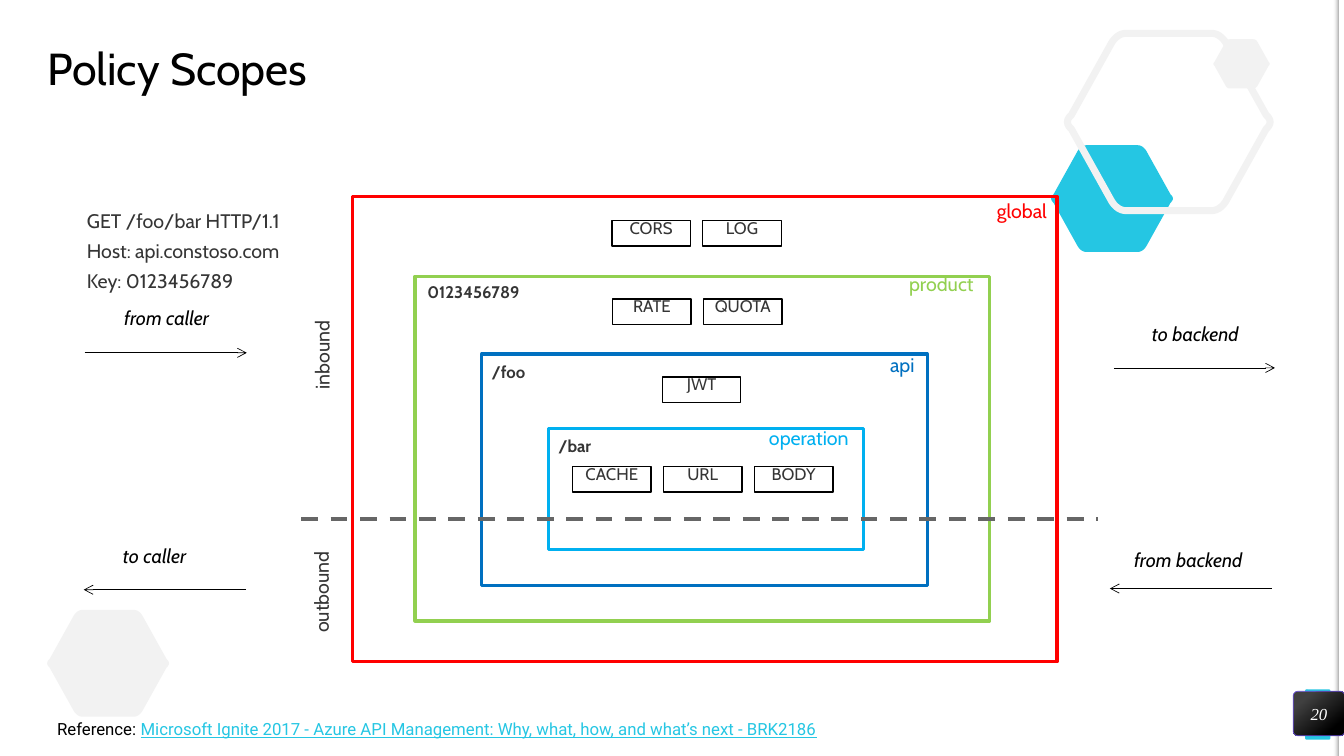
import pptx
import pptx.util
import pptx.dml.color
import pptx.enum.dml
import pptx.enum.shapes
import pptx.enum.text
import pptx.oxml.ns
import lxml.etree

Cm = pptx.util.Cm
Pt = pptx.util.Pt
qn = pptx.oxml.ns.qn
SHAPES = pptx.enum.shapes.MSO_SHAPE
ALIGN = pptx.enum.text.PP_ALIGN
ANCHOR = pptx.enum.text.MSO_ANCHOR

COLORS = {
    "white": "FFFFFF", "black": "000000", "text": "353535", "cyan": "25C6E3",
    "pale": "F2F2F2", "silver": "A6A6A6", "charcoal": "404040", "dash": "666666",
    "violet": "6A50DB", "global": "FF0000", "product": "92D050",
    "api": "0070C0", "operation": "00B0F0",
}
BODY_FONT = "Cabin"
WIDE_INSETS = (0.51, 0.41)
PLAIN_INSETS = (0.25, 0.13)
LABEL_HEIGHT = 1.37
CHIP_WIDTH, CHIP_HEIGHT, CHIP_PITCH = 1.98, 0.64, 2.29
CHIP_TEXT_WIDTH, CHIP_TEXT_HEIGHT = 2.95, 1.27

HEXAGON_LEFT_CORNERS = [
    ((0.29, 0), (0.25, 0), (0.22, 0.05)),
    ((0.02, 0.46), (-0.02, 0.5), (0.02, 0.54)),
    ((0.22, 0.95), (0.25, 1), (0.29, 1)),
]

SCOPES = [
    ("operation", (13.82, 10.8, 7.95, 3.05), (18.87, 10.54, 3.15)),
    ("api", (12.14, 8.92, 11.23, 5.84), (21.92, 8.69, 1.7)),
    ("product", (10.46, 6.96, 14.48, 8.69), (22.4, 6.65, 2.74)),
    ("global", (8.89, 4.95, 17.75, 11.73), (24.61, 4.8, 2.39)),
]
SCOPE_KEYS = [("0123456789", 10.52, 6.96), ("/foo", 12.14, 8.99), ("/bar", 13.82, 10.85)]
CHIP_ROWS = [
    (15.42, 5.56, ["CORS", "LOG"]),
    (15.44, 7.54, ["RATE", "QUOTA"]),
    (16.69, 9.5, ["JWT"]),
    (14.43, 11.76, ["CACHE", "URL", "BODY"]),
]
FLOWS = [
    ("to backend", (28.52, 7.92, 3.4), (28.07, 32.13, 9.27)),
    ("from backend", (28.07, 13.61, 3.96), (32.05, 27.97, 14.83)),
    ("from caller", (2.62, 7.52, 3.28), (2.13, 6.22, 8.89)),
    ("to caller", (2.59, 13.51, 2.74), (6.2, 2.11, 14.86)),
]
DIRECTIONS = [("inbound", 6.86, 8.2, 2.87), ("outbound", 6.68, 14.17, 3.2)]


def rgb(name):
    return pptx.dml.color.RGBColor.from_string(COLORS[name])


def style_shape(shape, fill=None, line=None, width=1):
    shape.shadow.inherit = False
    if fill:
        shape.fill.solid()
        shape.fill.fore_color.rgb = rgb(fill)
    else:
        shape.fill.background()
    if line:
        shape.line.color.rgb = rgb(line)
        shape.line.width = Pt(width)
    else:
        shape.line.fill.background()


def set_gradient(shape, stops, angle):
    shape.fill.gradient()
    shape.fill.gradient_angle = angle
    for gradient_stop, (position, color) in zip(shape.fill.gradient_stops, stops):
        gradient_stop.position = position
        gradient_stop.color.rgb = rgb(color)


def add_box(slide, kind, box, fill=None, line=None, width=1):
    shape = slide.shapes.add_shape(kind, *map(Cm, box))
    style_shape(shape, fill, line, width)
    return shape


def add_run(paragraph, text, size, color="text", font=BODY_FONT, bold=False,
            italic=False, underline=False):
    run = paragraph.add_run()
    run.text = text
    run.font.name = font
    run.font.size = Pt(size)
    run.font.color.rgb = rgb(color)
    run.font.bold = bold
    run.font.italic = italic
    run.font.underline = underline


def set_insets(frame, horizontal, vertical):
    frame.margin_left = frame.margin_right = Cm(horizontal)
    frame.margin_top = frame.margin_bottom = Cm(vertical)


def add_text_box(slide, box, insets=PLAIN_INSETS, wrap=True):
    text_box = slide.shapes.add_textbox(*map(Cm, box))
    frame = text_box.text_frame
    frame.word_wrap = wrap
    frame.auto_size = pptx.enum.text.MSO_AUTO_SIZE.SHAPE_TO_FIT_TEXT
    set_insets(frame, *insets)
    return text_box


def add_label(slide, lines, box, size=14, color="text", italic=False, wrap=False,
              align=ALIGN.LEFT):
    text_box = add_text_box(slide, box, WIDE_INSETS, wrap)
    frame = text_box.text_frame
    for index, line in enumerate(lines):
        paragraph = frame.add_paragraph() if index else frame.paragraphs[0]
        paragraph.alignment = align
        paragraph.line_spacing = 0.9
        paragraph.space_after = Pt(6)
        add_run(paragraph, line, size, color, italic=italic)
    return text_box


def add_line(slide, start, end, y, color, width, arrow=False, dash=None):
    connector = slide.shapes.add_connector(
        pptx.enum.shapes.MSO_CONNECTOR.STRAIGHT, Cm(start), Cm(y), Cm(end), Cm(y))
    connector.line.color.rgb = rgb(color)
    connector.line.width = Pt(width)
    if dash:
        connector.line.dash_style = dash
    if arrow:
        outline = connector.line._get_or_add_ln()
        lxml.etree.SubElement(outline, qn("a:tailEnd"), type="arrow")
    lxml.etree.SubElement(connector._element.spPr, qn("a:effectLst"))


def add_hexagon(slide, box, fill=None, line=None, width=1):
    left, top, box_width, box_height = box
    right_corners = [[(1 - x, 1 - y) for x, y in corner] for corner in HEXAGON_LEFT_CORNERS]
    points = []
    for corner in HEXAGON_LEFT_CORNERS + right_corners:
        for step in range(7):
            t = step / 6
            weights = ((1 - t) ** 2, 2 * t * (1 - t), t ** 2)
            x, y = (sum(w * p[axis] for w, p in zip(weights, corner)) for axis in (0, 1))
            points.append((Cm(left + x * box_width), Cm(top + y * box_height)))
    builder = slide.shapes.build_freeform(*points[0])
    builder.add_line_segments(points[1:], close=True)
    style_shape(builder.convert_to_shape(), fill, line, width)


def add_chip(slide, text, left, top):
    add_box(slide, SHAPES.RECTANGLE, (left, top, CHIP_WIDTH, CHIP_HEIGHT), line="black")
    text_left = left - (CHIP_TEXT_WIDTH - CHIP_WIDTH) / 2
    add_label(slide, [text], (text_left, top - 0.25, CHIP_TEXT_WIDTH, CHIP_TEXT_HEIGHT),
              size=12, wrap=True, align=ALIGN.CENTER)


def add_decoration(slide):
    tab = add_box(slide, SHAPES.ROUNDED_RECTANGLE, (32.89, 17.37, 0.64, 1.27), "cyan")
    tab.adjustments[0] = 0.07
    add_box(slide, SHAPES.RECTANGLE, (33.74, 0, 0.13, 19.05), "white")
    edge = add_box(slide, SHAPES.RECTANGLE, (33.61, 0, 0.13, 19.05), "pale")
    set_gradient(edge, [(0, "pale"), (1, "silver")], 0)
    clear_stop = next(edge._element.spPr.iter(qn("a:srgbClr")))
    lxml.etree.SubElement(clear_stop, qn("a:alpha"), val="0")
    add_hexagon(slide, (1.19, 15.37, 3.07, 2.69), "pale")
    add_hexagon(slide, (26.49, 3.66, 3.07, 2.69), "cyan")
    add_hexagon(slide, (26.9, 0.84, 5.11, 4.47), line="pale", width=5)
    add_hexagon(slide, (30.58, 0.99, 1.42, 1.24), "pale")


def set_title(slide, text):
    title = slide.shapes.title
    title.left, title.top, title.width, title.height = map(Cm, (1.19, 1.19, 31.47, 1.19))
    frame = title.text_frame
    set_insets(frame, 0, 0)
    frame.vertical_anchor = ANCHOR.MIDDLE
    paragraph = frame.paragraphs[0]
    paragraph.alignment = ALIGN.LEFT
    paragraph.line_spacing = 0.9
    add_run(paragraph, text, 32, "black")


def add_page_badge(slide, number):
    badge = add_box(slide, SHAPES.ROUNDED_RECTANGLE, (32.59, 17.42, 1.3, 1.12),
                    "black", "violet", 0.5)
    badge.adjustments[0] = 0.1
    set_gradient(badge, [(0.2, "charcoal"), (0.82, "black")], 310)
    frame = badge.text_frame
    set_insets(frame, 0, 0)
    frame.vertical_anchor = ANCHOR.MIDDLE
    paragraph = frame.paragraphs[0]
    paragraph.alignment = ALIGN.CENTER
    add_run(paragraph, number, 12, "white", "Times New Roman", italic=True)


def main():
    presentation = pptx.Presentation()
    presentation.slide_width, presentation.slide_height = Cm(33.87), Cm(19.05)
    slide = presentation.slides.add_slide(presentation.slide_layouts[5])
    add_decoration(slide)
    set_title(slide, "Policy Scopes")
    request = ["GET /foo/bar HTTP/1.1", "Host: api.constoso.com", "Key: 0123456789"]
    add_label(slide, request, (1.68, 4.93, 6.45, 2.87), wrap=True)
    for name, frame_box, label_box in SCOPES:
        add_box(slide, SHAPES.RECTANGLE, frame_box, line=name, width=2.25)
        add_label(slide, [name], (*label_box, LABEL_HEIGHT), color=name)
    for text, left, top, width in DIRECTIONS:
        add_label(slide, [text], (left, top, width, LABEL_HEIGHT)).rotation = 270
    for text, label_box, (start, end, y) in FLOWS:
        add_line(slide, start, end, y, "black", 0.5, arrow=True)
        add_label(slide, [text], (*label_box, LABEL_HEIGHT), color="black", italic=True)
    for text, left, top in SCOPE_KEYS:
        key_box = add_text_box(slide, (left, top, 3.1, 0.79))
        add_run(key_box.text_frame.paragraphs[0], text, 12, bold=True)
    for left, top, names in CHIP_ROWS:
        for index, name in enumerate(names):
            add_chip(slide, name, left + index * CHIP_PITCH, top)
    add_line(slide, 7.59, 27.66, 13.08, "dash", 3, dash=pptx.enum.dml.MSO_LINE.DASH)
    reference = add_text_box(slide, (1.19, 17.98, 20.4, 0.76)).text_frame.paragraphs[0]
    add_run(reference, "Reference: ", 12, "black", "Roboto")
    add_run(reference, "Microsoft Ignite 2017 - Azure API Management: Why, what, how, "
            "and what’s next - BRK2186", 12, "cyan", "Roboto", underline=True)
    add_page_badge(slide, "20")
    presentation.save("out.pptx")


if __name__ == "__main__":
    main()
